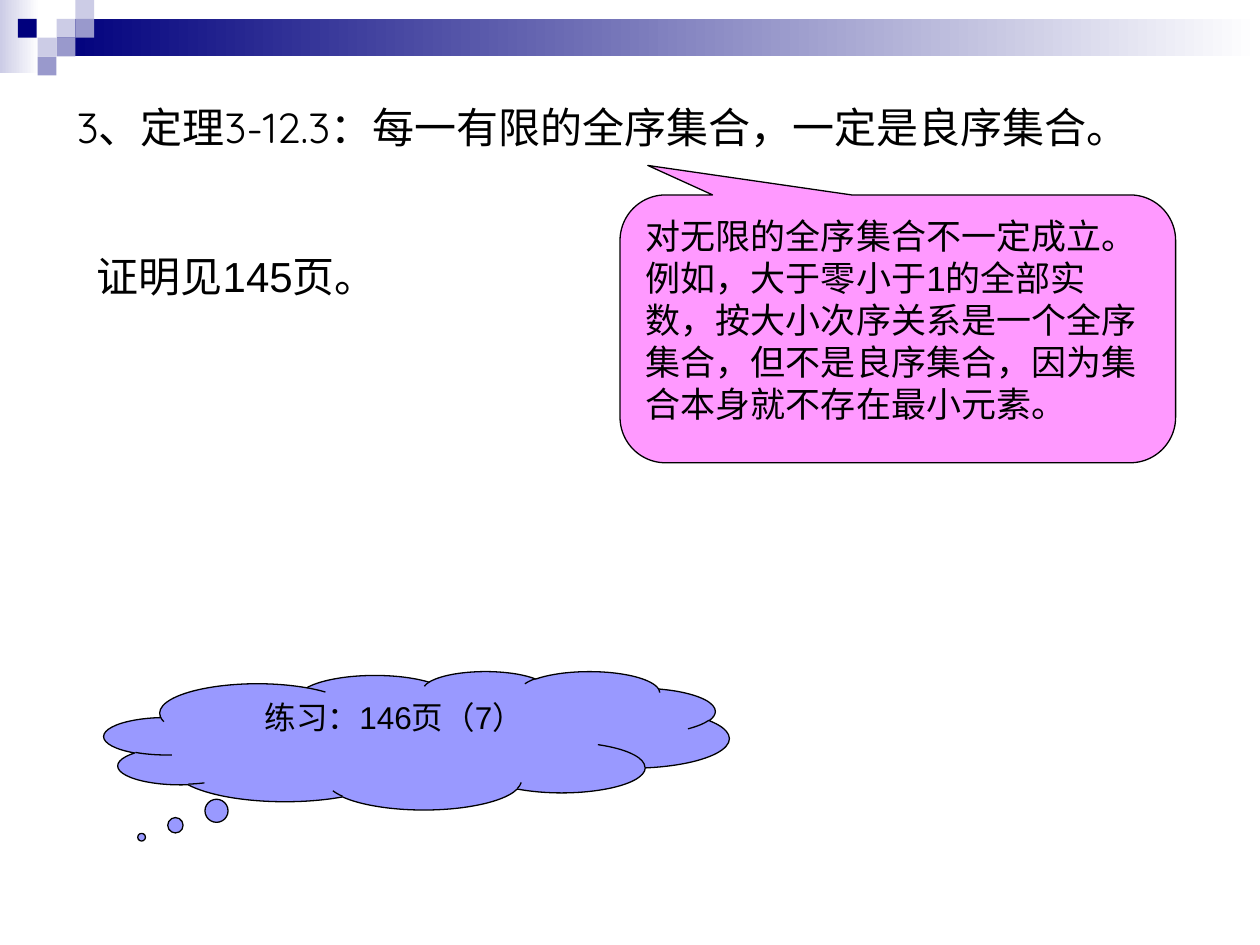
"""Build the slide on finite totally ordered sets and well-ordering."""
import pptx
import pptx.dml.color
import pptx.enum.shapes
import pptx.enum.text
import pptx.util

Cm, Pt = pptx.util.Cm, pptx.util.Pt
RGBColor = pptx.dml.color.RGBColor
SHAPE = pptx.enum.shapes.MSO_SHAPE
ALIGN = pptx.enum.text.PP_ALIGN

BLACK = RGBColor(0x00, 0x00, 0x00)
WHITE = RGBColor(0xFF, 0xFF, 0xFF)
NAVY = RGBColor(0x00, 0x00, 0x7D)
LAVENDER = RGBColor(0xCC, 0xCC, 0xE6)
VIOLET = RGBColor(0x99, 0x99, 0xCC)
PERIWINKLE = RGBColor(0x99, 0x99, 0xFF)
PINK = RGBColor(0xFF, 0x99, 0xFF)

TILE = 0.38
BANDS = [
    ((0, 0, 0.79, 1.47), LAVENDER),
    ((3 * TILE, TILE, 24.26, 0.76), NAVY),
]
TILES = [
    (3, 1, LAVENDER),
    (4, 0, LAVENDER),
    (4, 1, VIOLET),
    (2, 2, LAVENDER),
    (0.95, 1, NAVY),
    (3, 2, VIOLET),
    (2, 3, VIOLET),
]
STATEMENTS = [
    ("3、定理3-12.3：每一有限的全序集合，一定是良序集合。", (1.3, 1.93, 23.01, 1.27), "Quicksand"),
    ("证明见145页。", (1.7, 4.93, 12.6, 1.27), "Arial"),
]
CALLOUTS = [
    {
        "outline": SHAPE.CLOUD_CALLOUT,
        "box": (2.1, 13.53, 12.6, 2.79),
        "adjustments": (-0.44, 0.7),
        "color": PERIWINKLE,
        "lines": ["练习：146页（7）"],
        "size": 18,
        "align": ALIGN.CENTER,
    },
    {
        "outline": SHAPE.ROUNDED_RECTANGULAR_CALLOUT,
        "box": (12.5, 3.93, 11.2, 5.4),
        "adjustments": (-0.45, -0.61, 0.17),
        "color": PINK,
        "lines": [
            "对无限的全序集合不一定成立。",
            "例如，大于零小于1的全部实数，按大小次序关系是一个全序集合，"
            "但不是良序集合，因为集合本身就不存在最小元素。",
        ],
        "size": 20,
        "align": ALIGN.LEFT,
    },
]


def add_block(slide, outline, box):
    block = slide.shapes.add_shape(outline, *map(Cm, box))
    block.shadow.inherit = False
    block.line.fill.background()
    return block


def add_band(slide, box, start):
    band = add_block(slide, SHAPE.RECTANGLE, box)
    band.fill.gradient()
    band.fill.gradient_angle = 0
    for stop, color in zip(band.fill.gradient_stops, (start, WHITE)):
        stop.color.rgb = color


def add_tile(slide, column, row, color):
    tile = add_block(slide, SHAPE.RECTANGLE, (column * TILE, row * TILE, TILE, TILE))
    tile.fill.solid()
    tile.fill.fore_color.rgb = color


def write(frame, lines, font, size, align=ALIGN.LEFT, space_before=0):
    frame.word_wrap = True
    frame.vertical_anchor = pptx.enum.text.MSO_ANCHOR.TOP
    frame.text = "\n".join(lines)
    for paragraph in frame.paragraphs:
        paragraph.alignment = align
        paragraph.space_before = Pt(space_before)
        paragraph.font.name = font
        paragraph.font.size = Pt(size)
        paragraph.font.color.rgb = BLACK
        paragraph._p.get_or_add_pPr().set("hangingPunct", "0")


def add_callout(slide, callout):
    bubble = add_block(slide, callout["outline"], callout["box"])
    for index, value in enumerate(callout["adjustments"]):
        bubble.adjustments[index] = value
    bubble.fill.solid()
    bubble.fill.fore_color.rgb = callout["color"]
    bubble.line.color.rgb = BLACK
    bubble.line.width = Pt(0.75)
    write(bubble.text_frame, callout["lines"], "Arial", callout["size"], callout["align"])


def main():
    deck = pptx.Presentation()
    deck.slide_width, deck.slide_height = Cm(25.4), Cm(19.05)
    slide = deck.slides.add_slide(deck.slide_layouts[6])
    for box, start in BANDS:
        add_band(slide, box, start)
    for column, row, color in TILES:
        add_tile(slide, column, row, color)
    for statement, box, font in STATEMENTS:
        frame = slide.shapes.add_textbox(*map(Cm, box)).text_frame
        write(frame, [statement], font, 24, space_before=15)
        frame.auto_size = pptx.enum.text.MSO_AUTO_SIZE.SHAPE_TO_FIT_TEXT
    for callout in CALLOUTS:
        add_callout(slide, callout)
    deck.save("out.pptx")


if __name__ == "__main__":
    main()
